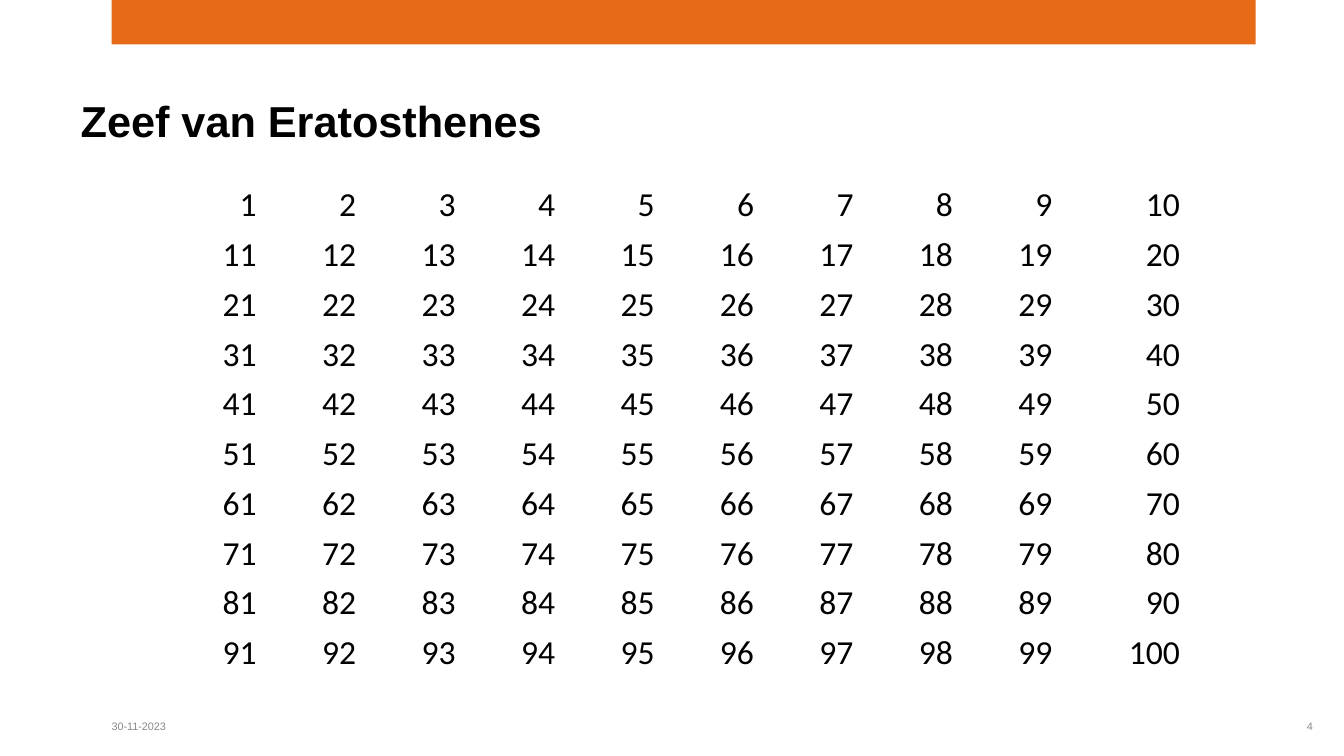
from dataclasses import dataclass

from pptx import Presentation
from pptx.dml.color import RGBColor
from pptx.enum.shapes import MSO_SHAPE
from pptx.enum.text import MSO_ANCHOR, MSO_AUTO_SIZE, PP_ALIGN
from pptx.util import Cm, Pt

RECTANGLE = MSO_SHAPE.RECTANGLE
TOP, MIDDLE, BOTTOM = MSO_ANCHOR.TOP, MSO_ANCHOR.MIDDLE, MSO_ANCHOR.BOTTOM
LEFT, RIGHT = PP_ALIGN.LEFT, PP_ALIGN.RIGHT
NO_AUTOFIT = MSO_AUTO_SIZE.NONE
TITLE_ONLY = 5


@dataclass(frozen=True)
class Theme:
    accent: RGBColor = RGBColor(0xE7, 0x6A, 0x17)
    text: RGBColor = RGBColor(0, 0, 0)
    muted: RGBColor = RGBColor(0x89, 0x89, 0x89)
    heading_font: str = "Arial"
    table_font: str = "Calibri"
    title_size: int = 40
    number_size: int = 18
    footer_size: int = 10
    lowered: int = -25000  # baseline shift, in thousandths of a percent


class SlideBuilder:
    def __init__(self, slide, theme):
        self.slide = slide
        self.theme = theme

    def add_run(self, paragraph, text, font, size, color, bold=False, baseline=0):
        run = paragraph.add_run()
        run.text = text
        run.font.name = font
        run.font.size = Pt(size)
        run.font.bold = bold
        run.font.color.rgb = color
        if baseline:
            run._r.get_or_add_rPr().set("baseline", str(baseline))

    def bar(self, left, top, width, height):
        shape = self.slide.shapes.add_shape(
            RECTANGLE, Cm(left), Cm(top), Cm(width), Cm(height))
        shape.shadow.inherit = False
        shape.fill.solid()
        shape.fill.fore_color.rgb = self.theme.accent
        shape.line.fill.background()

    def title(self, text, left, top, width, height):
        shape = self.slide.shapes.title
        shape.left, shape.top = Cm(left), Cm(top)
        shape.width, shape.height = Cm(width), Cm(height)
        frame = shape.text_frame
        frame.auto_size = NO_AUTOFIT
        frame.vertical_anchor = TOP
        frame.margin_top = Cm(0.26)
        paragraph = frame.paragraphs[0]
        paragraph.alignment = LEFT
        paragraph.space_after = Pt(6)
        self.add_run(paragraph, text, self.theme.heading_font, self.theme.title_size,
                     self.theme.text, bold=True, baseline=self.theme.lowered)

    def footer(self, text, left, top, width, height, alignment=LEFT):
        shape = self.slide.shapes.add_textbox(Cm(left), Cm(top), Cm(width), Cm(height))
        frame = shape.text_frame
        frame.word_wrap = True
        frame.vertical_anchor = MIDDLE
        frame.margin_left = frame.margin_right = 0
        frame.margin_top = frame.margin_bottom = 0
        paragraph = frame.paragraphs[0]
        paragraph.alignment = alignment
        paragraph.space_after = Pt(6)
        self.add_run(paragraph, text, self.theme.heading_font, self.theme.footer_size,
                     self.theme.muted, baseline=self.theme.lowered)

    def number_table(self, left, top, column_widths, row_height, row_count):
        column_count = len(column_widths)
        table = self.slide.shapes.add_table(
            row_count, column_count, Cm(left), Cm(top),
            Cm(sum(column_widths)), Cm(row_height * row_count)).table
        table.first_row = table.horz_banding = False
        for column, width in zip(table.columns, column_widths):
            column.width = Cm(width)
        for row in table.rows:
            row.height = Cm(row_height)
        for number, cell in enumerate(table.iter_cells(), start=1):
            cell.fill.background()
            cell.vertical_anchor = BOTTOM
            cell.margin_left = cell.margin_right = cell.margin_top = Cm(0.03)
            cell.margin_bottom = 0
            paragraph = cell.text_frame.paragraphs[0]
            paragraph.alignment = RIGHT
            self.add_run(paragraph, str(number), self.theme.table_font,
                         self.theme.number_size, self.theme.text)


def main():
    presentation = Presentation()
    presentation.slide_width, presentation.slide_height = Cm(25.4), Cm(14.29)
    slide = presentation.slides.add_slide(presentation.slide_layouts[TITLE_ONLY])
    builder = SlideBuilder(slide, Theme())

    # Header
    builder.bar(2.11, 0, 21.62, 0.84)
    builder.title("Zeef van Eratosthenes", 1.27, 0.58, 22.86, 2.39)

    # Footer
    builder.footer("30-11-2023", 2.11, 13.23, 1.6, 0.76)
    builder.footer("4", 23.9, 13.23, 0.91, 0.76, RIGHT)

    # Numbers 1 to 100, with a wider last column
    builder.number_table(3, 3.33, [1.88] * 9 + [2.41], 0.94, 10)

    presentation.save("out.pptx")


if __name__ == "__main__":
    main()
